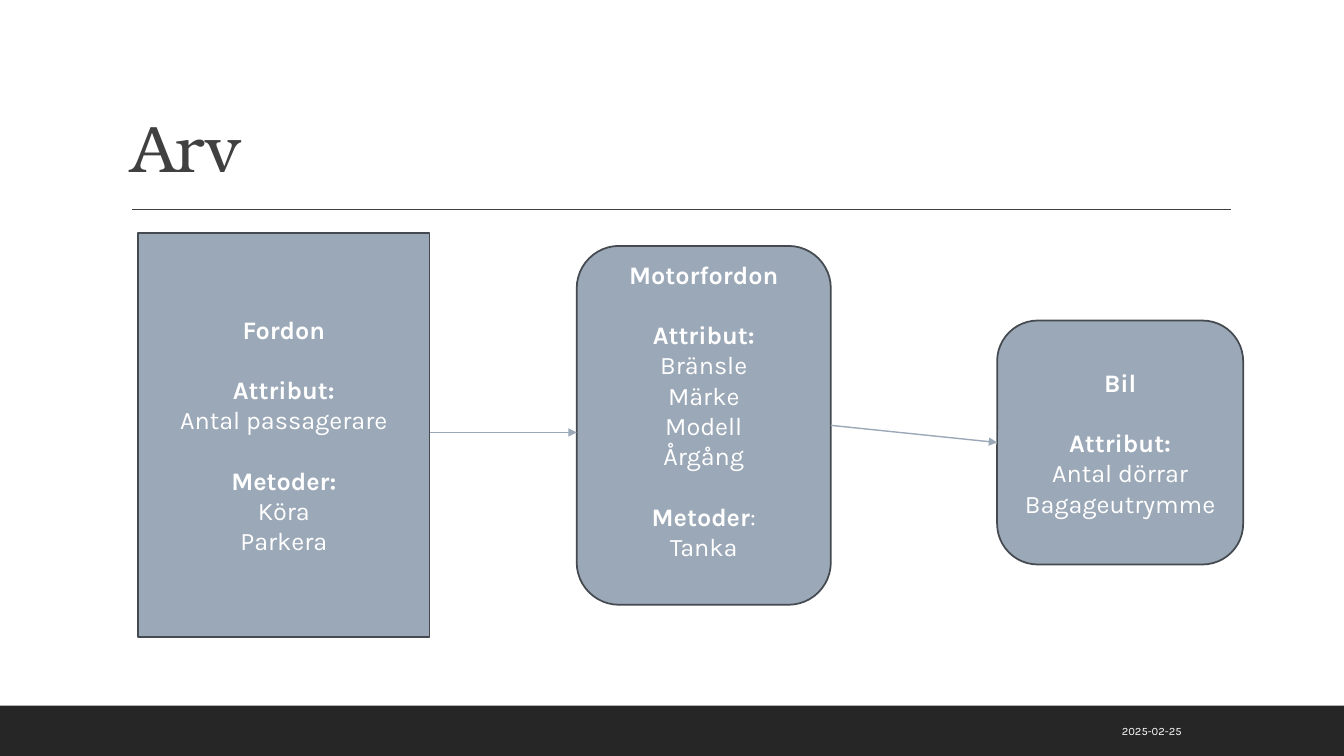
from lxml.etree import SubElement
from pptx import Presentation
from pptx.dml.color import RGBColor
from pptx.enum.shapes import MSO_CONNECTOR, MSO_SHAPE
from pptx.enum.text import MSO_ANCHOR, MSO_AUTO_SIZE, PP_ALIGN
from pptx.oxml.ns import qn
from pptx.util import Inches, Pt

WHITE = RGBColor(0xFF, 0xFF, 0xFF)
BLACK = RGBColor(0x26, 0x26, 0x26)
DARK = RGBColor(0x40, 0x40, 0x40)
BORDER = RGBColor(0x44, 0x4A, 0x50)
BLUE = RGBColor(0x9B, 0xA8, 0xB7)


def add_run(p, text, color=WHITE, **fmt):
    r = p.add_run()
    r.text = text
    r.font.color.rgb = color
    for name, value in ({"name": "Karla", "size": Pt(18)} | fmt).items():
        setattr(r.font, name, value)
    return r


def add_line(s, x1, y1, x2, y2, color):
    line = s.shapes.add_connector(
        MSO_CONNECTOR.STRAIGHT, Inches(x1), Inches(y1), Inches(x2), Inches(y2))
    line.line.color.rgb = color
    line.line.width = Pt(1)
    SubElement(line._element.spPr, qn("a:effectLst"))
    return line


prs = Presentation()
prs.slide_width, prs.slide_height = Inches(13.33), Inches(7.5)
s = prs.slides.add_slide(prs.slide_layouts[5])

bar = s.shapes.add_shape(MSO_SHAPE.RECTANGLE, 0, Inches(7), prs.slide_width, Inches(0.5))
bar.shadow.inherit = False
bar.fill.solid()
bar.fill.fore_color.rgb = BLACK
bar.line.fill.background()
add_line(s, 1.31, 2.08, 12.21, 2.08, DARK)

title = s.shapes.title
title.left, title.top, title.width, title.height = map(Inches, (1.2, 0.31, 11, 1.59))
tf = title.text_frame
tf.auto_size = MSO_AUTO_SIZE.NONE
tf.vertical_anchor = MSO_ANCHOR.BOTTOM
p = tf.paragraphs[0]
p.alignment = PP_ALIGN.LEFT
p.line_spacing = 0.9
r = add_run(p, "Arv", DARK, name="TeX Gyre Bonum", size=Pt(47))
r.font._element.set("spc", "-50")

date = s.shapes.add_textbox(Inches(8.99), Inches(7.05), Inches(2.83), Inches(0.4))
tf = date.text_frame
tf.word_wrap = True
tf.vertical_anchor = MSO_ANCHOR.MIDDLE
tf.paragraphs[0].alignment = PP_ALIGN.RIGHT
add_run(tf.paragraphs[0], "2025-02-25", size=Pt(8))

classes = [
    (MSO_SHAPE.RECTANGLE, (1.37, 2.31, 2.89, 4.01), 0.05, [
        ("Fordon", "", []),
        ("Attribut:", "", ["Antal passagerare"]),
        ("Metoder:", "", ["Köra", "Parkera"])]),
    (MSO_SHAPE.ROUNDED_RECTANGLE, (5.72, 2.44, 2.52, 3.56), 0.35, [
        ("Motorfordon", "", []),
        ("Attribut:", "", ["Bränsle", "Märke", "Modell", "Årgång"]),
        ("Metoder", ":", ["Tanka"])]),
    (MSO_SHAPE.ROUNDED_RECTANGLE, (9.89, 3.18, 2.44, 2.42), 0.05, [
        ("Bil", "", []),
        ("Attribut:", "", ["Antal dörrar", "Bagageutrymme"])]),
]
boxes = []
for kind, place, bottom, groups in classes:
    box = s.shapes.add_shape(kind, *map(Inches, place))
    box.shadow.inherit = False
    box.fill.solid()
    box.fill.fore_color.rgb = BLUE
    box.line.color.rgb = BORDER
    box.line.width = Pt(1.25)
    tf = box.text_frame
    tf.word_wrap = True
    tf.vertical_anchor = MSO_ANCHOR.MIDDLE
    tf.margin_bottom = Inches(bottom)
    for i, (heading, tail, members) in enumerate(groups):
        p = tf.add_paragraph() if i else tf.paragraphs[0]
        p.alignment = PP_ALIGN.CENTER
        p.space_before = Pt(21.6 if i else 0)
        add_run(p, heading, bold=True)
        if tail:
            add_run(p, tail)
        for member in members:
            p = tf.add_paragraph()
            p.alignment = PP_ALIGN.CENTER
            add_run(p, member)
    boxes.append(box)

fordon, motorfordon, bil = boxes
to_motorfordon = add_line(s, 4.26, 4.29, 5.72, 4.29, BLUE)
to_bil = add_line(s, 8.24, 4.22, 9.89, 4.39, BLUE)
to_bil.begin_connect(motorfordon, 3)
to_bil.end_connect(bil, 1)
for arrow in (to_motorfordon, to_bil):
    SubElement(arrow.line._get_or_add_ln(), qn("a:tailEnd"), type="triangle")

prs.save("out.pptx")
